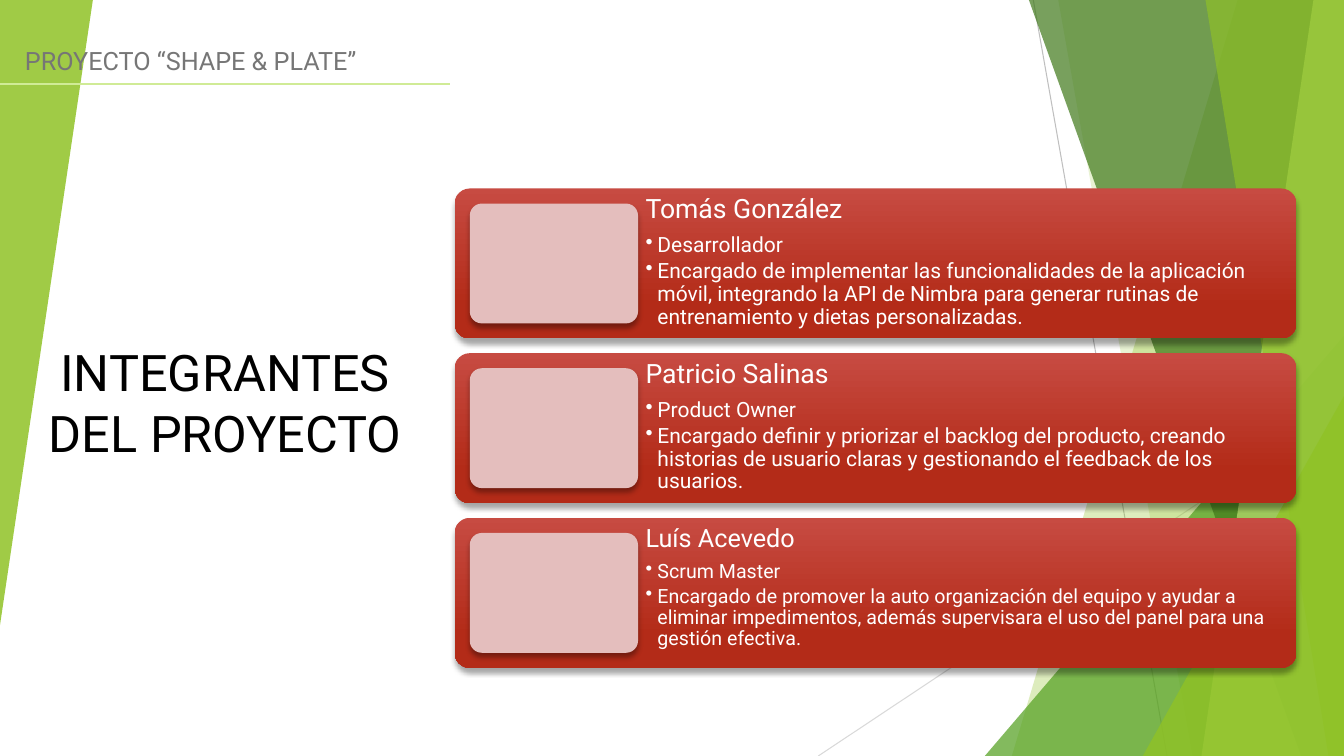
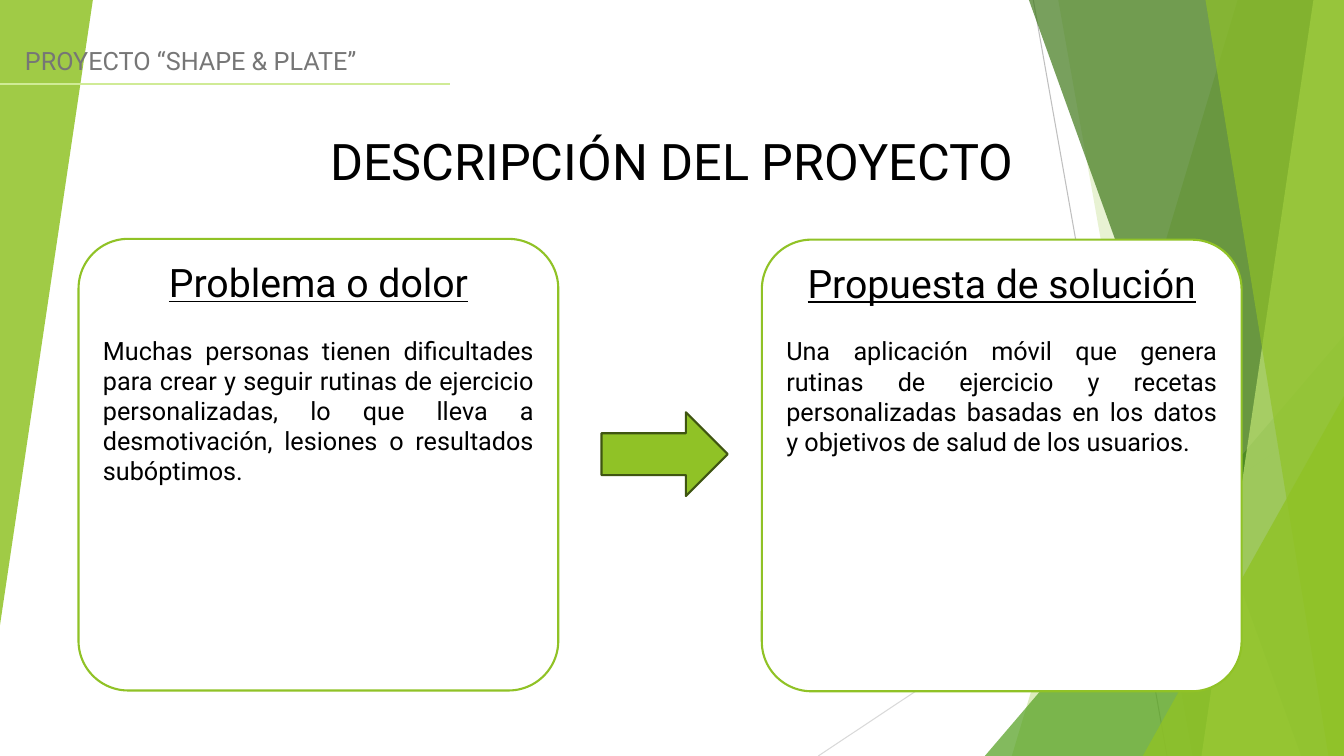
from lxml import etree
from pptx import Presentation
from pptx import util as u
from pptx.dml.color import RGBColor
from pptx.enum import shapes, text
from pptx.oxml import ns

Cm, Pt = u.Cm, u.Pt
SHAPE, ALIGN = shapes.MSO_SHAPE, text.PP_ALIGN


def rgb(hex_color):
    return RGBColor.from_string(hex_color)


def add_xml(parent, tag, **attrs):
    child = etree.SubElement(parent, ns.qn(tag))
    for name, value in attrs.items():
        child.set(name, str(value))
    return child


class Deck:
    """Holds the shared style and the slide being built."""

    FONT = "Roboto"
    WIDTH, HEIGHT = 33.87, 19.05
    GREEN, WHITE, BLACK, GREY = "90C226", "FFFFFF", "000000", "767676"

    def __init__(self):
        self.prs = Presentation()
        self.prs.slide_width, self.prs.slide_height = Cm(self.WIDTH), Cm(self.HEIGHT)
        self.s = None

    def slide(self):
        self.s = self.prs.slides.add_slide(self.prs.slide_layouts[6])
        self.backdrop()
        self.textbox(0.38, 1.02, 20, 1.02, "PROYECTO “SHAPE & PLATE”", 18, self.GREY)
        self.line(0, 2.11, 11.35, 2.11, "D0EB96", 1.25)

    def backdrop(self):
        self.line(26.04, 0, 29.41, self.HEIGHT, "BFBFBF")
        self.line(self.WIDTH, 10.24, 20.62, self.HEIGHT, "D9D9D9")
        self.band(31.19, 25.5, self.GREEN, 30)
        self.band(26.67, 30.05, self.GREEN, 20)
        self.corner(24.82, 8.46, "54A021", 72)
        self.band(25.93, 32.79, "3F7819", 70)
        self.band(33.1, 30.28, "C0E474", 70)
        self.band(30.38, 33.48, self.GREEN, 65)
        self.corner(28.8, 9.98, self.GREEN, 80)
        wedge = self.shape(SHAPE.ISOSCELES_TRIANGLE, 0, 0, 2.34, 15.75, self.GREEN, adj=1, alpha=85)
        wedge.rotation = 180

    def line(self, x1, y1, x2, y2, color, width=0.75):
        ln = self.s.shapes.add_connector(
            shapes.MSO_CONNECTOR.STRAIGHT, Cm(x1), Cm(y1), Cm(x2), Cm(y2))
        ln.line.color.rgb, ln.line.width = rgb(color), Pt(width)
        add_xml(ln._element.spPr, "a:effectLst")

    def paint(self, sp, color, alpha=100, outline=None):
        sp.shadow.inherit = False
        sp.fill.solid()
        sp.fill.fore_color.rgb = rgb(color)
        if alpha < 100:
            clr = sp._element.spPr.find(".//" + ns.qn("a:srgbClr"))
            add_xml(clr, "a:alpha", val=alpha * 1000)
        if outline:
            sp.line.color.rgb, sp.line.width = rgb(outline), Pt(1.5)
        else:
            sp.line.fill.background()

    def band(self, top_x, bottom_x, color, alpha):
        fb = self.s.shapes.build_freeform(Cm(top_x), 0)
        fb.add_line_segments([
            (Cm(self.WIDTH), 0),
            (Cm(self.WIDTH), Cm(self.HEIGHT)),
            (Cm(bottom_x), Cm(self.HEIGHT)),
        ])
        self.paint(fb.convert_to_shape(), color, alpha)

    def corner(self, x, y, color, alpha):
        self.shape(SHAPE.ISOSCELES_TRIANGLE, x, y, self.WIDTH - x, self.HEIGHT - y,
                   color, adj=1, alpha=alpha)

    def shape(self, kind, x, y, w, h, color, adj=None, alpha=100, outline=None):
        sp = self.s.shapes.add_shape(kind, Cm(x), Cm(y), Cm(w), Cm(h))
        if adj is not None:
            sp.adjustments[0] = adj
        self.paint(sp, color, alpha, outline)
        return sp

    def raised(self, x, y, w, h, color):
        sp = self.shape(SHAPE.ROUNDED_RECTANGLE, x, y, w, h, color, adj=0.1)
        effects = sp._element.spPr.find(ns.qn("a:effectLst"))
        shadow = add_xml(effects, "a:outerShdw", blurRad=Pt(4), dist=Pt(3),
                         dir=5400000, rotWithShape=0)
        clr = add_xml(shadow, "a:srgbClr", val=self.BLACK)
        add_xml(clr, "a:alpha", val=35000)
        return sp

    def set_text(self, p, words, size, color, align=ALIGN.LEFT, underline=None):
        p.text, p.alignment = words, align
        font = p.runs[0].font
        font.name, font.size, font.color.rgb = self.FONT, Pt(size), rgb(color)
        font.underline = underline

    def textbox(self, x, y, w, h, words, size, color, align=ALIGN.LEFT):
        tf = self.s.shapes.add_textbox(Cm(x), Cm(y), Cm(w), Cm(h)).text_frame
        tf.word_wrap = True
        self.set_text(tf.paragraphs[0], words, size, color, align)
        return tf

    def title(self, x, y, w, h, words):
        self.textbox(x, y, w, h, words, 36, self.BLACK, ALIGN.CENTER)

    def member(self, y, name, role, duty, size):
        card = self.raised(11.46, y, 21.21, 3.78, "B32B18")
        card.fill.gradient()
        card.fill.gradient_angle = 270
        for stop, place, color in zip(card.fill.gradient_stops, (0, 0.78), ("C74B42", "B32B18")):
            stop.position, stop.color.rgb = place, rgb(color)
        tf = self.textbox(16.08, y, 16.59, 3.78, name, size + 4, self.WHITE)
        tf.margin_left = tf.margin_right = tf.margin_top = tf.margin_bottom = Cm(0.19)
        for words in (role, duty):
            p = tf.add_paragraph()
            self.set_text(p, words, size, self.WHITE)
            pPr = p._p.get_or_add_pPr()
            pPr.set("marL", str(Cm(0.3)))
            pPr.set("indent", str(-Cm(0.3)))
            add_xml(pPr, "a:buChar", char="•")
        for p, gap in zip(tf.paragraphs, (0.45, 0.18, 0.18)):
            p.line_spacing, p.space_after = 0.9, Pt(round(size * gap, 1))
        self.raised(11.84, y + 0.38, 4.24, 3.02, "E4BEBD")

    def panel(self, x, y, heading, body):
        sp = self.shape(SHAPE.ROUNDED_RECTANGLE, x, y, 12.09, 11.38, self.WHITE,
                        adj=0.11, outline=self.GREEN)
        tf = sp.text_frame
        tf.word_wrap, tf.vertical_anchor = True, text.MSO_ANCHOR.TOP
        self.set_text(tf.paragraphs[0], heading, 28, self.BLACK, ALIGN.CENTER, True)
        tf.paragraphs[0].space_after = Pt(21)
        self.set_text(tf.add_paragraph(), body, 18, self.BLACK, ALIGN.JUSTIFY)


MEMBERS = [
    ("Tomás González", "Desarrollador",
     "Encargado de implementar las funcionalidades de la aplicación móvil, integrando la API "
     "de Nimbra para generar rutinas de entrenamiento y dietas personalizadas.", 15),
    ("Patricio Salinas", "Product Owner",
     "Encargado definir y priorizar el backlog del producto, creando historias de usuario "
     "claras y gestionando el feedback de los usuarios.", 15),
    ("Luís Acevedo", "Scrum Master",
     "Encargado de promover la auto organización del equipo y ayudar a eliminar impedimentos, "
     "además supervisara el uso del panel para una gestión efectiva.", 14),
]


def main():
    deck = Deck()

    deck.slide()
    for i, member in enumerate(MEMBERS):
        deck.member(4.75 + i * 4.15, *member)
    deck.title(0.66, 8.48, 10.03, 3.33, "INTEGRANTES DEL PROYECTO")

    deck.slide()
    deck.title(0, 3.15, deck.WIDTH, 1.8, "DESCRIPCIÓN DEL PROYECTO")
    deck.panel(1.98, 6.02, "Problema o dolor",
               "Muchas personas tienen dificultades para crear y seguir rutinas de ejercicio "
               "personalizadas, lo que lleva a desmotivación, lesiones o resultados subóptimos.")
    deck.panel(19.2, 6.04, "Propuesta de solución",
               "Una aplicación móvil que genera rutinas de ejercicio y recetas personalizadas "
               "basadas en los datos y objetivos de salud de los usuarios.")
    deck.shape(SHAPE.RIGHT_ARROW, 15.16, 10.39, 3.18, 2.11, deck.GREEN, outline="3F5511")

    deck.prs.save("out.pptx")


if __name__ == "__main__":
    main()
